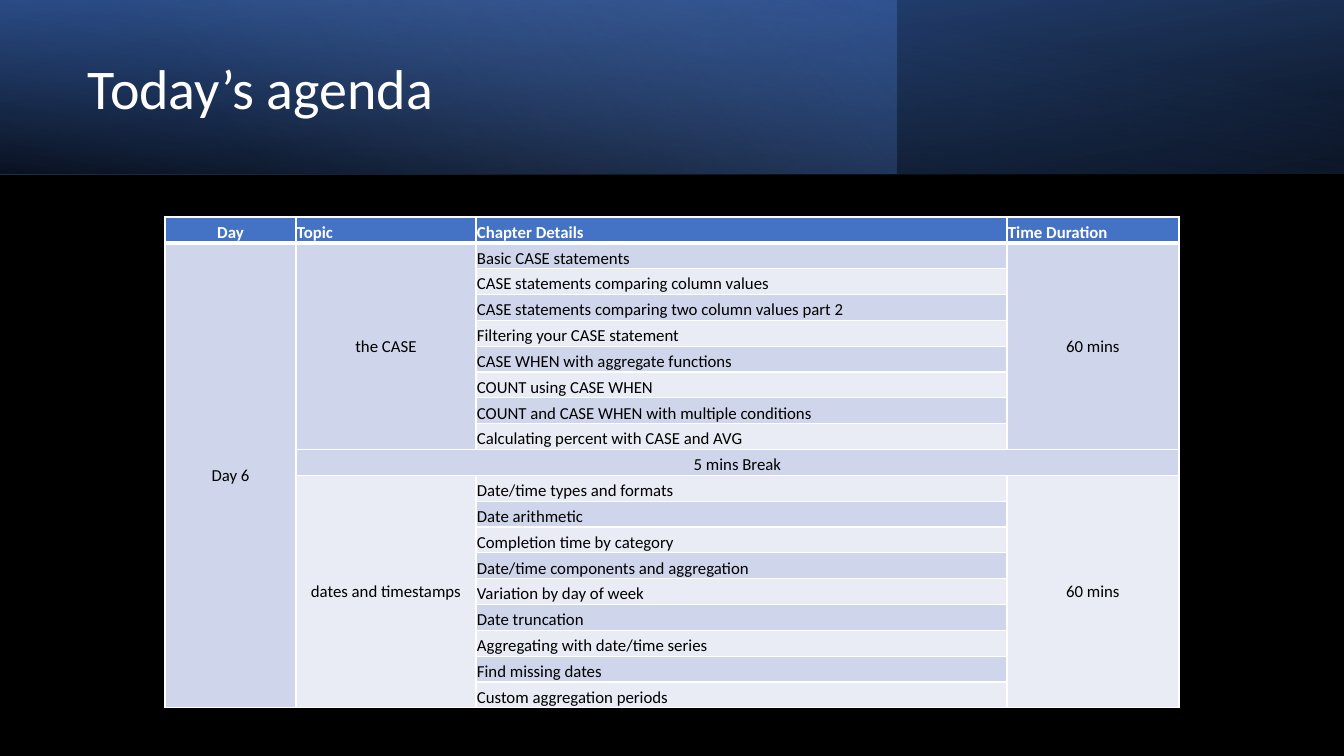
from lxml import etree
from pptx import Presentation
from pptx import util as u
from pptx.dml.color import RGBColor
from pptx.enum import shapes, text
from pptx.oxml import ns

EMU_PER_PX = 914400 / 100.8
FONT = "Calibri"
COLORS = {
    "black": "000000", "white": "FFFFFF", "navy": "2F5597", "blue": "4472C4",
    "sky": "8FAADC", "band_dark": "CFD5EA", "band_light": "E9EBF5",
}
HEADINGS = ["Day", "Topic", "Chapter Details", "Time Duration"]
COLUMN_WIDTHS = [131, 180, 531, 172]
DAY = "Day 6"
BREAK = "5 mins Break"
TOPICS = [
    ("the CASE", "60 mins", [
        "Basic CASE statements",
        "CASE statements comparing column values",
        "CASE statements comparing two column values part 2",
        "Filtering your CASE statement",
        "CASE WHEN with aggregate functions",
        "COUNT using CASE WHEN",
        "COUNT and CASE WHEN with multiple conditions",
        "Calculating percent with CASE and AVG",
    ]),
    ("dates and timestamps", "60 mins", [
        "Date/time types and formats",
        "Date arithmetic",
        "Completion time by category",
        "Date/time components and aggregation",
        "Variation by day of week",
        "Date truncation",
        "Aggregating with date/time series",
        "Find missing dates",
        "Custom aggregation periods",
    ]),
]


def px(length):
    return u.Emu(round(length * EMU_PER_PX))


def color(name):
    return RGBColor.from_string(COLORS[name])


def add_solid(parent, name):
    solid = etree.SubElement(parent, ns.qn("a:solidFill"))
    return etree.SubElement(solid, ns.qn("a:srgbClr"), val=COLORS[name])


def format_text(paragraph, size, name, bold=False):
    paragraph.font.name = FONT
    paragraph.font.size = u.Pt(size)
    paragraph.font.bold = bold
    paragraph.font.color.rgb = color(name)


def add_gradient_panel(slide, box, stops, angle, flipped=False, rotation=0):
    shape = slide.shapes.add_shape(shapes.MSO_SHAPE.RECTANGLE, *map(px, box))
    shape.shadow.inherit = False
    shape.line.fill.background()
    shape.rotation = rotation
    properties = shape._element.spPr
    if flipped:
        properties.find(ns.qn("a:xfrm")).set("flipH", "1")
    gradient = etree.Element(ns.qn("a:gradFill"), rotWithShape="1")
    stop_list = etree.SubElement(gradient, ns.qn("a:gsLst"))
    for position, name, opacity in stops:
        stop = etree.SubElement(stop_list, ns.qn("a:gs"), pos=str(position * 1000))
        tint = etree.SubElement(stop, ns.qn("a:srgbClr"), val=COLORS[name])
        etree.SubElement(tint, ns.qn("a:alpha"), val=str(opacity * 1000))
    etree.SubElement(gradient, ns.qn("a:lin"), ang=str(angle * 60000), scaled="0")
    properties.find(ns.qn("a:prstGeom")).addnext(gradient)


def add_header(slide, left, top, width, height):
    box = (left, top, width, height)
    add_gradient_panel(slide, box, [(0, "black", 96), (100, "navy", 100)], 100,
                       flipped=True, rotation=180)
    add_gradient_panel(slide, (left, top, width * 2 // 3 + 1, height),
                       [(0, "blue", 41), (74, "sky", 0)], 140)
    add_gradient_panel(slide, box, [(0, "black", 63), (78, "blue", 15)], 260, flipped=True)
    title = slide.shapes.add_textbox(px(left + 78), px(top + 27), px(778), px(128))
    frame = title.text_frame
    frame.word_wrap = True
    frame.vertical_anchor = text.MSO_ANCHOR.MIDDLE
    frame.text = "Today’s agenda"
    frame.paragraphs[0].line_spacing = 0.9
    format_text(frame.paragraphs[0], 40, "white")


def set_borders(cell, row):
    widths = {"L": 1, "R": 1, "T": 3 if row == 1 else 1, "B": 3 if row == 0 else 1}
    properties = cell._tc.get_or_add_tcPr()
    for index, (side, width) in enumerate(widths.items()):
        line = etree.Element(ns.qn("a:ln" + side), w=str(u.Pt(width)))
        add_solid(line, "white")
        properties.insert(index, line)


def style_cell(cell, row):
    cell.margin_left = cell.margin_right = cell.margin_top = px(1)
    cell.margin_bottom = 0
    cell.vertical_anchor = text.MSO_ANCHOR.BOTTOM
    cell.fill.solid()
    cell.fill.fore_color.rgb = color(
        "blue" if row == 0 else "band_dark" if row % 2 else "band_light")
    set_borders(cell, row)
    format_text(cell.text_frame.paragraphs[0], 12, "white" if row == 0 else "black", row == 0)


def center(cell, anchor=text.MSO_ANCHOR.MIDDLE):
    cell.vertical_anchor = anchor
    cell.text_frame.paragraphs[0].alignment = text.PP_ALIGN.CENTER


def fill_span(table, first, last, label, anchor=text.MSO_ANCHOR.MIDDLE):
    cell = table.cell(*first)
    cell.merge(table.cell(*last))
    cell.text = label
    style_cell(cell, first[0])
    center(cell, anchor)


def add_agenda(slide, left, top, width, height):
    row_count = 1 + sum(len(chapters) for _, _, chapters in TOPICS) + len(TOPICS) - 1
    frame = slide.shapes.add_table(row_count, len(HEADINGS), *map(px, (left, top, width, height)))
    table = frame.table
    for column, column_width in zip(table.columns, COLUMN_WIDTHS):
        column.width = px(column_width)
    for row in table.rows:
        row.height = px(height / row_count)
    for row in range(row_count):
        for column in range(len(HEADINGS)):
            style_cell(table.cell(row, column), row)
    for column, heading in enumerate(HEADINGS):
        cell = table.cell(0, column)
        cell.text = heading
        format_text(cell.text_frame.paragraphs[0], 12, "white", True)
    center(table.cell(0, 0), text.MSO_ANCHOR.BOTTOM)

    fill_span(table, (1, 0), (row_count - 1, 0), DAY)
    row = 1
    for topic, duration, chapters in TOPICS:
        if row > 1:
            fill_span(table, (row, 1), (row, 3), BREAK, text.MSO_ANCHOR.BOTTOM)
            row += 1
        last = row + len(chapters) - 1
        fill_span(table, (row, 1), (last, 1), topic)
        fill_span(table, (row, 3), (last, 3), duration)
        for chapter in chapters:
            cell = table.cell(row, 2)
            cell.text = chapter
            format_text(cell.text_frame.paragraphs[0], 12, "black")
            row += 1


def main():
    presentation = Presentation()
    presentation.slide_width = px(1344)
    presentation.slide_height = px(756)
    slide = presentation.slides.add_slide(presentation.slide_layouts[6])
    slide.background.fill.solid()
    slide.background.fill.fore_color.rgb = color("black")
    add_header(slide, 0, 0, 1344, 174)
    add_agenda(slide, 165, 217, sum(COLUMN_WIDTHS), 491)
    presentation.save("out.pptx")


if __name__ == "__main__":
    main()
